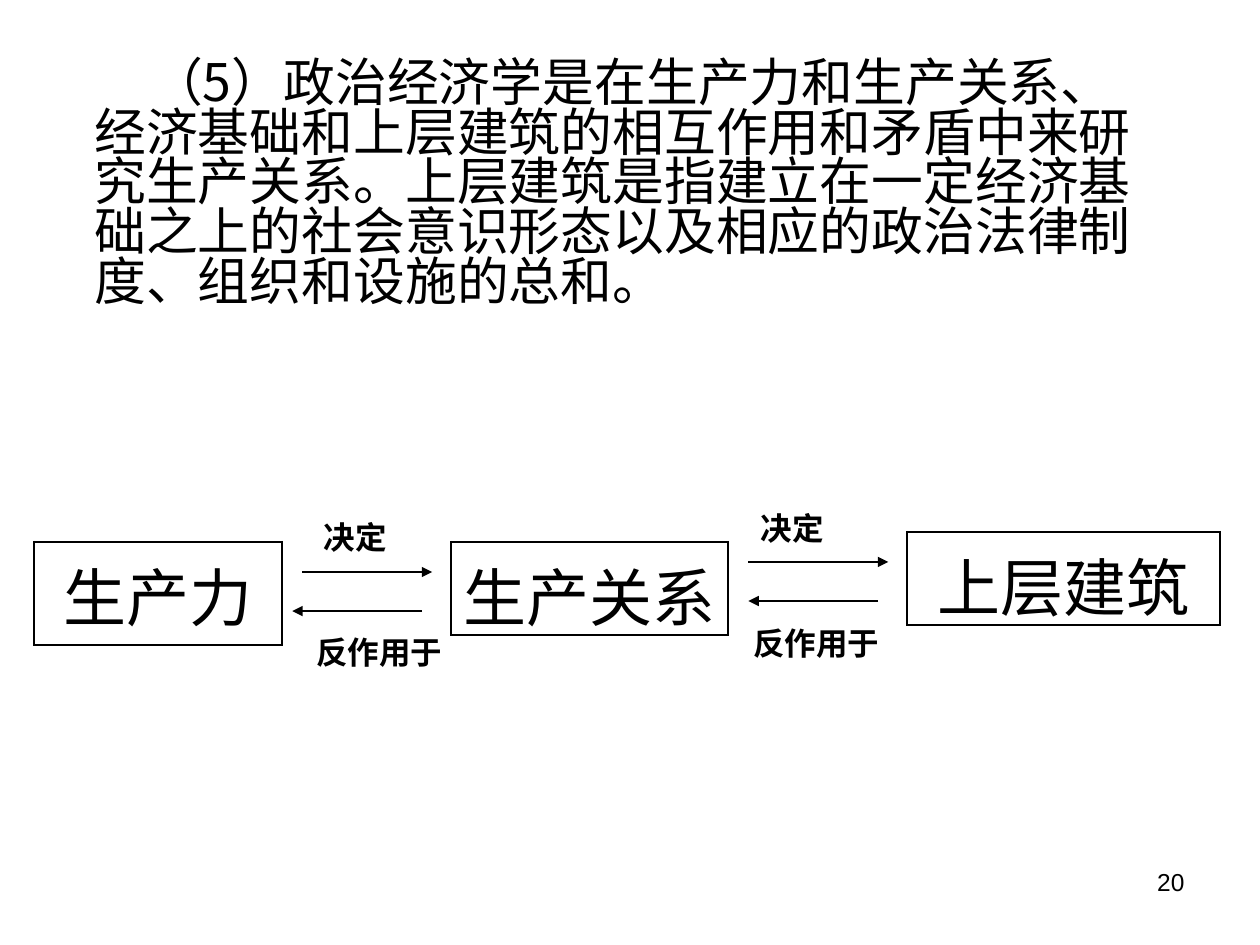
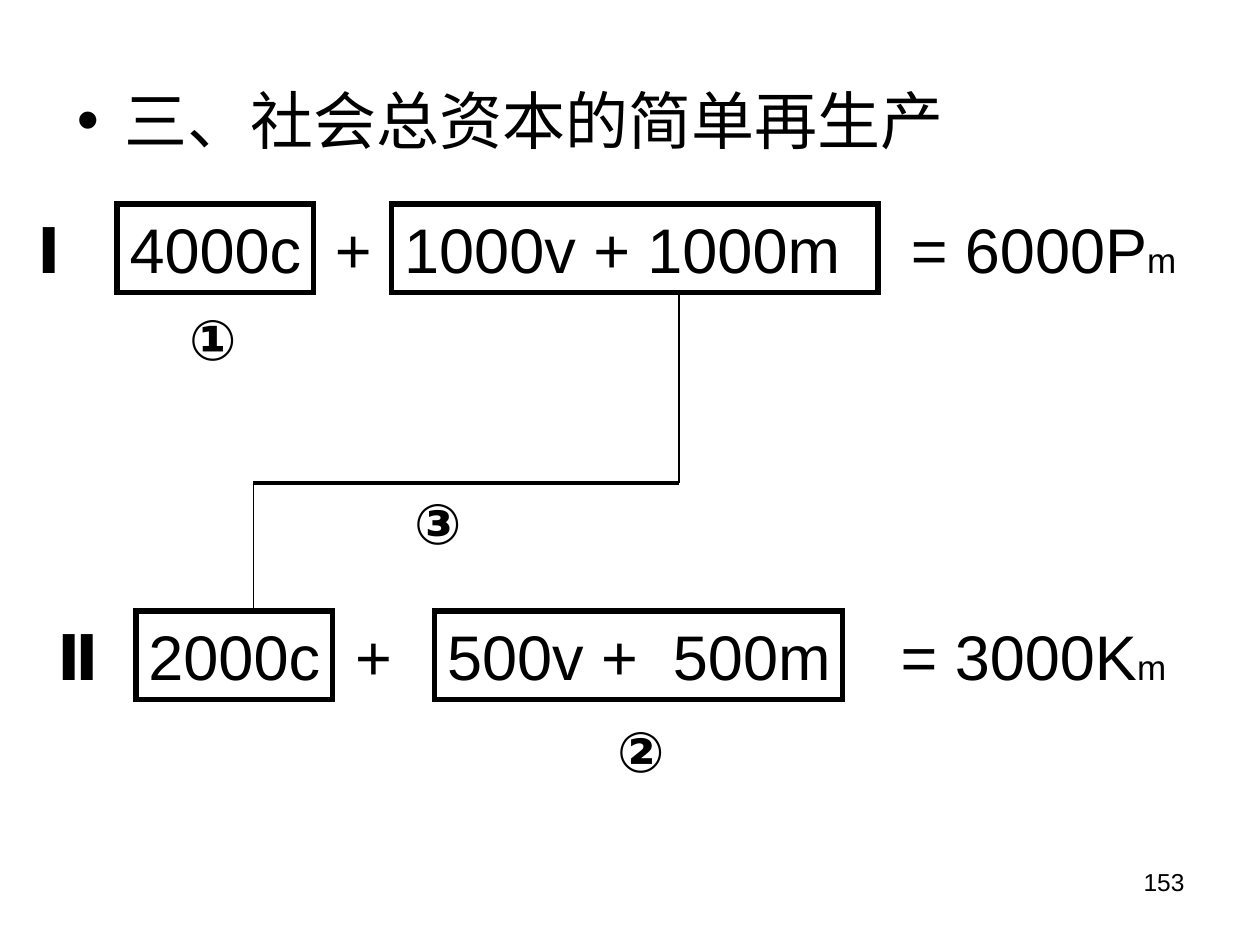
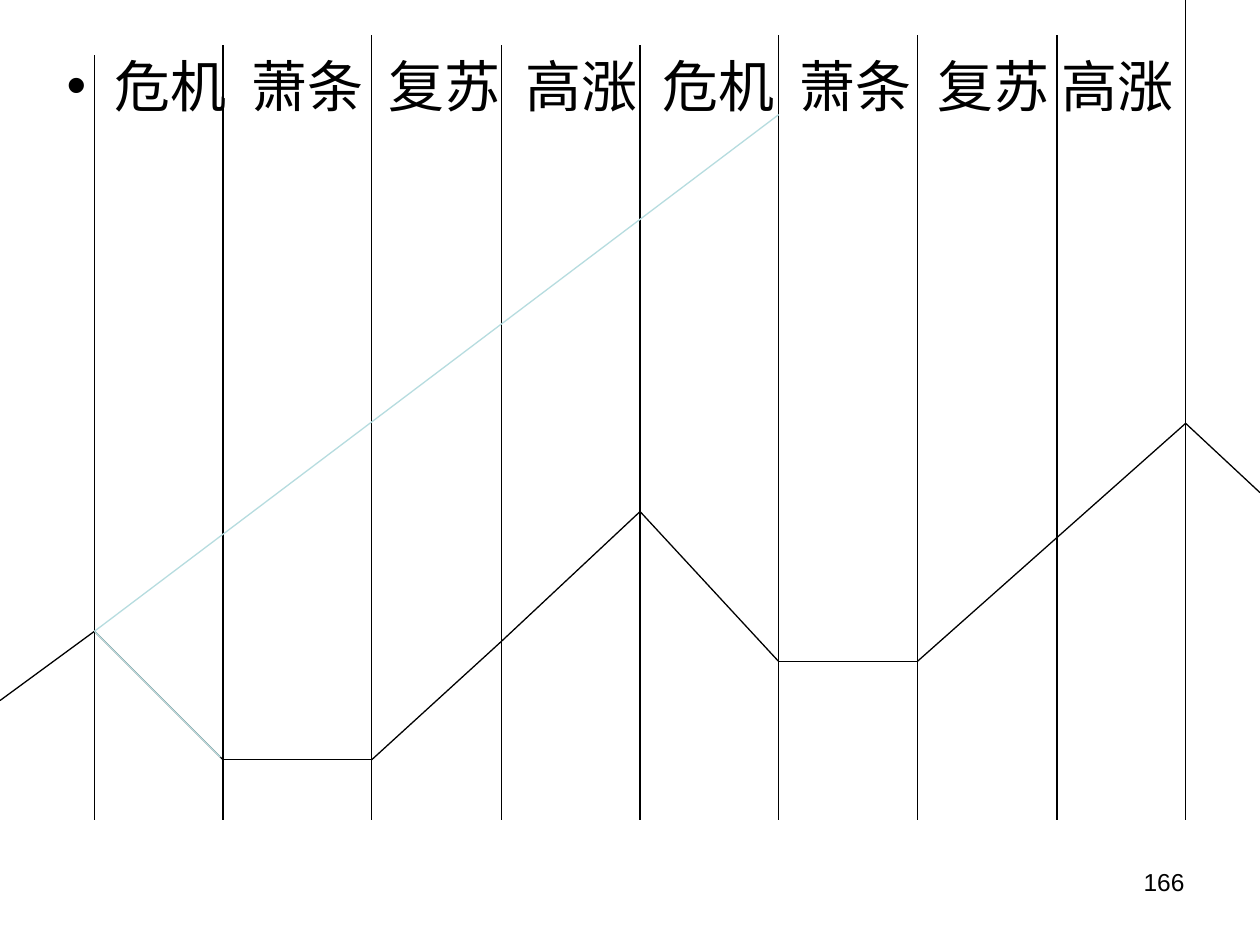
import itertools
from dataclasses import dataclass
from typing import Any, NamedTuple

import lxml.etree
import pptx
import pptx.dml.color
import pptx.enum.shapes
import pptx.enum.text
import pptx.oxml.ns
import pptx.util

BLACK = pptx.dml.color.RGBColor(0x00, 0x00, 0x00)
PALE_TEAL = pptx.dml.color.RGBColor(0xB6, 0xDC, 0xDF)
LATIN = "Arial"
CHINESE = "Noto Sans CJK JP"
COLUMNS, ROWS = 10, 7.5
SLIDE_WIDTH, SLIDE_HEIGHT = pptx.util.Inches(10), pptx.util.Inches(7.5)
TITLE_ONLY, BLANK = 5, 6
HANGING = 0.38
LEFT = pptx.enum.text.PP_ALIGN.LEFT
RIGHT = pptx.enum.text.PP_ALIGN.RIGHT
CENTER = pptx.enum.text.PP_ALIGN.CENTER
BOX_MARGINS = {"margin_left": 0.1, "margin_right": 0.1, "margin_top": 0.05, "margin_bottom": 0.05}
CELL_MARGINS = BOX_MARGINS | {"margin_top": 0.18, "margin_bottom": 0}


class Area(NamedTuple):
    left: float
    top: float
    width: float
    height: float


class Point(NamedTuple):
    x: float
    y: float


class Piece(NamedTuple):
    text: str
    size: float = 36
    font: str = LATIN
    bold: bool = False
    spacing: float = 0


@dataclass(frozen=True)
class Line:
    pieces: tuple[Piece, ...]
    alignment: Any = LEFT
    space_before: float = 0
    line_spacing: float = 1.0
    margin: float = 0
    first_indent: float = 0
    bullet: bool = False


@dataclass(frozen=True)
class Term:
    area: Area
    pieces: tuple[Piece, ...]
    framed: bool = False
    wrap: bool = False


@dataclass(frozen=True)
class Relation:
    area: Area
    forward: tuple[Point, Point]
    backward: tuple[Point, Point]


def column(count: float) -> int:
    return round(SLIDE_WIDTH * count / COLUMNS)


def row(count: float) -> int:
    return round(SLIDE_HEIGHT * count / ROWS)


def place(area: Area) -> tuple[int, int, int, int]:
    return column(area.left), row(area.top), column(area.width), row(area.height)


def apply(target: Any, values: dict[str, Any]) -> None:
    for name, value in values.items():
        setattr(target, name, value)


def add_xml(parent: Any, tag: str, **attributes: str) -> Any:
    return lxml.etree.SubElement(parent, pptx.oxml.ns.qn(tag), attributes)


def write_line(paragraph: Any, line: Line) -> None:
    properties = paragraph._p.get_or_add_pPr()
    properties.set("marL", str(column(line.margin)))
    properties.set("indent", str(column(line.first_indent)))
    properties.set("hangingPunct", "0")
    if line.bullet:
        add_xml(properties, "a:buFont", typeface=LATIN)
        add_xml(properties, "a:buChar", char="•")
    else:
        add_xml(properties, "a:buNone")
    apply(paragraph, {
        "alignment": line.alignment,
        "space_before": pptx.util.Pt(line.space_before),
        "line_spacing": line.line_spacing,
    })
    for piece in line.pieces:
        run = paragraph.add_run()
        run.text = piece.text
        apply(run.font, {"size": pptx.util.Pt(piece.size), "name": piece.font, "bold": piece.bold})
        run.font.color.rgb = BLACK
        run_properties = run._r.get_or_add_rPr()
        add_xml(run_properties, "a:ea", typeface=piece.font)
        if piece.spacing:
            run_properties.set("spc", str(round(piece.spacing * 100)))


def write_text(shape: Any, lines: list[Line], wrap: bool = True) -> None:
    frame = shape.text_frame
    apply(frame, {name: column(value) for name, value in BOX_MARGINS.items()})
    apply(frame, {
        "word_wrap": wrap,
        "auto_size": pptx.enum.text.MSO_AUTO_SIZE.NONE,
        "vertical_anchor": pptx.enum.text.MSO_ANCHOR.TOP,
    })
    for index, line in enumerate(lines):
        write_line(frame.add_paragraph() if index else frame.paragraphs[0], line)


def add_text(slide: Any, area: Area, lines: list[Line], wrap: bool = True) -> None:
    write_text(slide.shapes.add_textbox(*place(area)), lines, wrap)


def add_term(slide: Any, term: Term) -> None:
    lines = [Line(term.pieces)]
    if not term.framed:
        add_text(slide, term.area, lines, term.wrap)
        return
    shape = slide.shapes.add_shape(pptx.enum.shapes.MSO_SHAPE.RECTANGLE, *place(term.area))
    shape.shadow.inherit = False
    shape.fill.background()
    shape.line.color.rgb = BLACK
    shape.line.width = pptx.util.Pt(3)
    add_xml(shape.line._get_or_add_ln(), "a:miter", lim="800000")
    write_text(shape, lines, term.wrap)


def add_line(slide: Any, start: Point, end: Point, color: Any = BLACK,
             width: float = 0.75, arrow: bool = False) -> None:
    connector = slide.shapes.add_connector(
        pptx.enum.shapes.MSO_CONNECTOR.STRAIGHT,
        column(start.x), row(start.y), column(end.x), row(end.y))
    connector.line.color.rgb = color
    connector.line.width = pptx.util.Pt(width)
    if arrow:
        add_xml(connector.line._get_or_add_ln(), "a:tailEnd", type="triangle")
    add_xml(connector._element.spPr, "a:effectLst")


def add_path(slide: Any, points: list[Point], color: Any = BLACK) -> None:
    for start, end in itertools.pairwise(points):
        add_line(slide, start, end, color)


def add_concept(slide: Any, area: Area, text: str) -> None:
    table = slide.shapes.add_table(1, 1, *place(area)).table
    apply(table, {"first_row": False, "horz_banding": False})
    cell = table.cell(0, 0)
    apply(cell, {name: column(value) for name, value in CELL_MARGINS.items()})
    cell.fill.background()
    properties = cell._tc.get_or_add_tcPr()
    for index, side in enumerate(("lnL", "lnR", "lnT", "lnB")):
        border = add_xml(properties, f"a:{side}", w=str(pptx.util.Pt(1.08)))
        add_xml(add_xml(border, "a:solidFill"), "a:srgbClr", val=str(BLACK))
        properties.insert(index, border)
    write_line(cell.text_frame.paragraphs[0], Line((Piece(text),), CENTER))


def add_slide(presentation: Any, layout: int, number: str) -> Any:
    slide = presentation.slides.add_slide(presentation.slide_layouts[layout])
    add_text(slide, Area(7.17, 6.83, 2.33, 0.52), [Line((Piece(number, 14),), RIGHT)])
    return slide


def build_relations(presentation: Any) -> None:
    slide = add_slide(presentation, BLANK, "20")
    statement = (
        "（5）政治经济学是在生产力和生产关系、经济基础和上层建筑的相互作用和矛盾中"
        "来研究生产关系。上层建筑是指建立在一定经济基础之上的社会意识形态以及相应的"
        "政治法律制度、组织和设施的总和。")
    add_text(slide, Area(0.27, 0.44, 8.82, 2.6), [
        Line((Piece(statement, 29.6, CHINESE),), line_spacing=0.8, margin=HANGING, first_indent=0.45)])
    concepts = {
        "生产力": Area(0.27, 4.3, 1.97, 0.82),
        "生产关系": Area(3.58, 4.3, 2.2, 0.71),
        "上层建筑": Area(7.2, 4.22, 2.48, 0.71),
    }
    for text, area in concepts.items():
        add_concept(slide, area, text)
    relations = [
        Relation(Area(2.24, 4.06, 1.57, 1.32),
                 (Point(2.4, 4.54), Point(3.43, 4.54)), (Point(3.35, 4.85), Point(2.32, 4.85))),
        Relation(Area(5.71, 3.99, 1.5, 1.32),
                 (Point(5.94, 4.46), Point(7.05, 4.46)), (Point(6.97, 4.77), Point(5.94, 4.77))),
    ]
    for relation in relations:
        add_text(slide, relation.area, [
            Line((Piece("决定", 18, CHINESE, True),), margin=0.23),
            Line((Piece("反作用于", 18, CHINESE, True),), margin=0.17, space_before=44),
        ])
        for start, end in (relation.forward, relation.backward):
            add_line(slide, start, end, arrow=True)


def build_reproduction(presentation: Any) -> None:
    slide = add_slide(presentation, TITLE_ONLY, "153")
    title = slide.shapes.title
    apply(title, dict(zip(("left", "top", "width", "height"), place(Area(0.51, 0.6, 9, 0.7)))))
    write_text(title, [Line((Piece("三、社会总资本的简单再生产", 36, CHINESE),),
                            margin=HANGING, first_indent=-HANGING, bullet=True)])
    first, second, height = 1.62, 4.85, 0.7
    subscript = Piece("m", 20)
    terms = [
        Term(Area(0.2, first, 0.7, height), (Piece("Ⅰ", bold=True),), wrap=True),
        Term(Area(0.93, first, 1.56, height), (Piece("4000c"),), framed=True),
        Term(Area(2.56, first, 0.49, height), (Piece("+"),)),
        Term(Area(3.11, first, 3.86, height), (Piece("1000v + 1000m"),), framed=True, wrap=True),
        Term(Area(7.13, first, 2.31, height), (Piece("= 6000P"), subscript)),
        Term(Area(0.36, second, 0.53, height), (Piece("Ⅱ", bold=True),)),
        Term(Area(1.08, second, 1.56, height), (Piece("2000c"),), framed=True),
        Term(Area(2.72, second, 0.49, height), (Piece("+"),)),
        Term(Area(3.45, second, 3.24, height),
             (Piece("500v +"), Piece(" ", spacing=10), Piece("500m")), framed=True),
        Term(Area(7.05, second, 2.31, height), (Piece("= 3000K"), subscript)),
    ]
    marks = {"①": Point(1.41, 2.37), "②": Point(4.8, 5.64), "③": Point(3.19, 3.83)}
    terms += [Term(Area(*corner, 0.57, 0.64), (Piece(mark, 32, bold=True),))
              for mark, corner in marks.items()]
    for term in terms:
        add_term(slide, term)
    bend_left, bend_right = Point(2.01, 3.83), Point(5.39, 3.83)
    add_line(slide, bend_left, bend_right, width=2.25)
    add_line(slide, bend_right, Point(bend_right.x, first + height))
    add_line(slide, bend_left, Point(bend_left.x, second))


def build_cycle(presentation: Any) -> None:
    slide = add_slide(presentation, BLANK, "166")
    phases = ("危机", "萧条", "复苏", "高涨") * 2
    pieces = [Piece(phases[0], 32, CHINESE)]
    for index, phase in enumerate(phases[1:], 1):
        spacing = 0 if index == len(phases) - 1 else 7.1
        pieces += [Piece(" ", 32, CHINESE, spacing=spacing), Piece(phase, 32, CHINESE)]
    add_text(slide, Area(0.43, 0.36, 9.57, 6.35), [
        Line(tuple(pieces), margin=HANGING, first_indent=-HANGING, bullet=True)])
    divider_tops = {0.75: 0.44, 1.77: 0.36, 2.95: 0.28, 3.98: 0.36, 5.08: 0.36,
                    6.18: 0.28, 7.28: 0.28, 8.39: 0.28, 9.41: 0}
    for x, top in divider_tops.items():
        add_line(slide, Point(x, top), Point(x, 6.51))
    dot = Point(5, 2.1)
    add_line(slide, dot, dot)
    first_peak = Point(0.75, 5.01)
    add_path(slide, [
        Point(0, 5.56), first_peak, Point(1.77, 6.03), Point(2.95, 6.03), Point(3.98, 5.09),
        Point(5.08, 4.06), Point(6.18, 5.25), Point(7.28, 5.25), Point(9.41, 3.36), Point(10, 3.91)])
    for end in (Point(1.75, 6.01), Point(6.18, 0.91)):
        add_line(slide, first_peak, end, PALE_TEAL)


def main() -> None:
    presentation = pptx.Presentation()
    apply(presentation, {"slide_width": SLIDE_WIDTH, "slide_height": SLIDE_HEIGHT})
    for build in (build_relations, build_reproduction, build_cycle):
        build(presentation)
    presentation.save("out.pptx")


if __name__ == "__main__":
    main()
